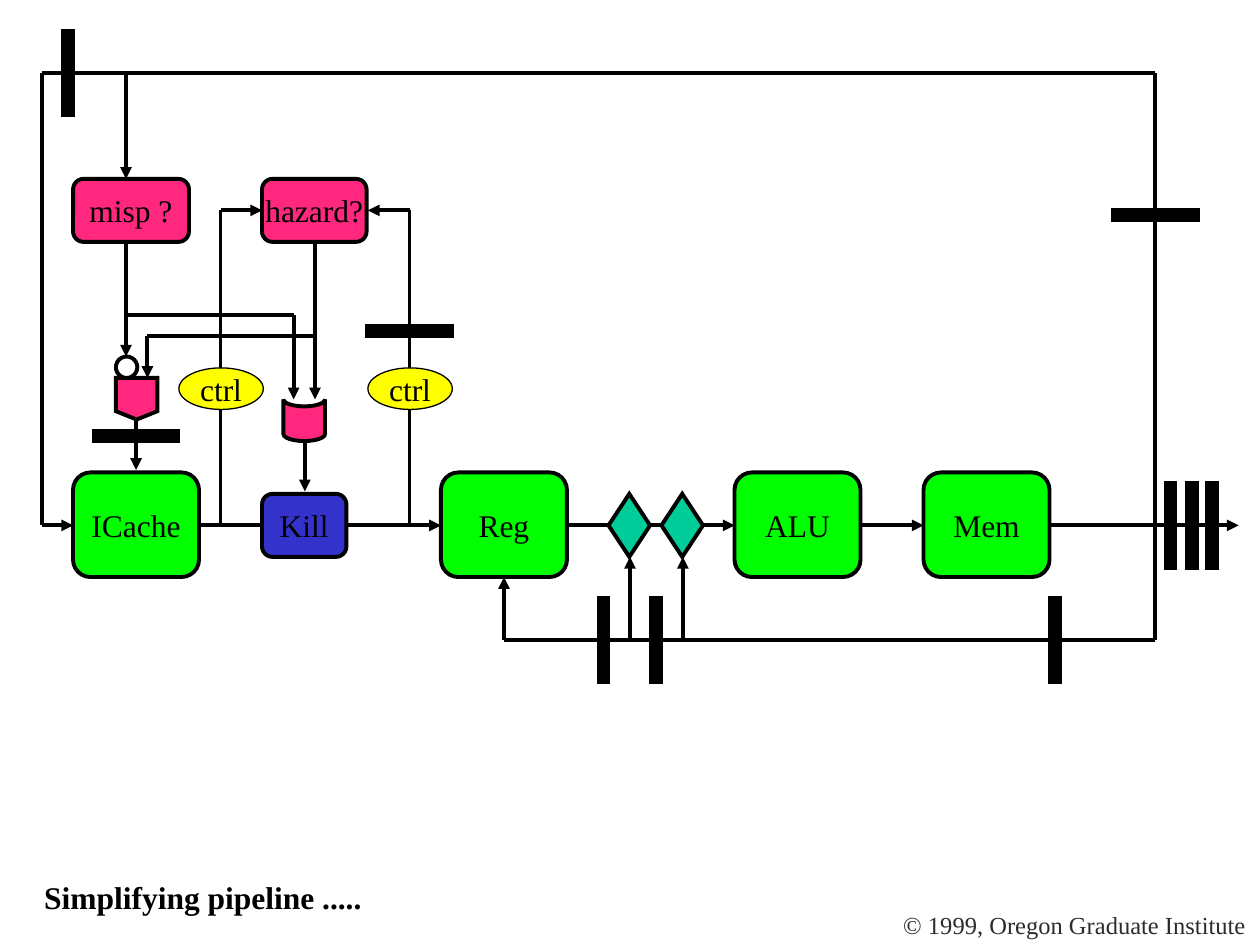
from lxml import etree
from pptx import Presentation
from pptx.dml.color import RGBColor
from pptx.enum.shapes import MSO_CONNECTOR, MSO_SHAPE
from pptx.enum.text import MSO_ANCHOR, MSO_AUTO_SIZE, PP_ALIGN
from pptx.oxml.ns import qn
from pptx.util import Inches, Pt

STRAIGHT = MSO_CONNECTOR.STRAIGHT
RECT, ROUNDED = MSO_SHAPE.RECTANGLE, MSO_SHAPE.ROUNDED_RECTANGLE
OVAL, DIAMOND = MSO_SHAPE.OVAL, MSO_SHAPE.DIAMOND
AND_GATE = MSO_SHAPE.FLOWCHART_OFFPAGE_CONNECTOR
OR_GATE = MSO_SHAPE.FLOWCHART_STORED_DATA
LEFT, CENTER = PP_ALIGN.LEFT, PP_ALIGN.CENTER
TOP, MIDDLE = MSO_ANCHOR.TOP, MSO_ANCHOR.MIDDLE
NO_AUTOFIT = MSO_AUTO_SIZE.NONE
TITLE_ONLY = 5

THEME = {
    "font": "Times New Roman",
    "label_size": Pt(18),
    "copyright_size": Pt(14),
    "wire_width": Pt(2.25),
    "thin_width": Pt(0.75),
    "ink": RGBColor(0x00, 0x00, 0x00),
    "copyright": RGBColor(0x2C, 0x2C, 0x2C),
    "stage": RGBColor(0x01, 0xFF, 0x01),
    "kill": RGBColor(0x33, 0x33, 0xCC),
    "check": RGBColor(0xFF, 0x27, 0x7E),
    "mux": RGBColor(0x00, 0xCC, 0x99),
    "control": RGBColor(0xFF, 0xFF, 0x00),
    "inverter": RGBColor(0xFF, 0xFF, 0xFF),
}


def write_text(shape, text, align=CENTER, anchor=MIDDLE, wrap=False, **font_format):
    frame = shape.text_frame
    frame.text = text
    frame_format = {
        "word_wrap": wrap, "auto_size": NO_AUTOFIT, "vertical_anchor": anchor,
        "margin_left": Inches(0.1), "margin_right": Inches(0.1),
        "margin_top": Inches(0.05), "margin_bottom": Inches(0.05),
    }
    for name, value in frame_format.items():
        setattr(frame, name, value)
    paragraph = frame.paragraphs[0]
    paragraph.alignment = align
    font = paragraph.runs[0].font
    font.color.rgb = font_format.pop("color", THEME["ink"])
    for name, value in {"name": THEME["font"], "size": THEME["label_size"], **font_format}.items():
        setattr(font, name, value)


def add_part(kind, left, top, width, height, color, label="", outline="wire_width"):
    """Add a filled, sharply outlined pipeline part with an optional centred label."""
    part = slide.shapes.add_shape(kind, Inches(left), Inches(top), Inches(width), Inches(height))
    part.shadow.inherit = False
    part.fill.solid()
    part.fill.fore_color.rgb = THEME[color]
    part.line.color.rgb = THEME["ink"]
    part.line.width = THEME[outline]
    etree.SubElement(part.element.spPr.find(qn("a:ln")), qn("a:miter"), lim="800000")
    if label:
        write_text(part, label)
    return part


prs = Presentation()
prs.slide_width, prs.slide_height = Inches(10), Inches(7.5)
slide = prs.slides.add_slide(prs.slide_layouts[TITLE_ONLY])

title = slide.shapes.title
title.left, title.top, title.width, title.height = map(Inches, (0.25, 6.92, 3, 0.4))
write_text(title, "Simplifying pipeline .....", LEFT, TOP, wrap=True, bold=True)

copyright_line = slide.shapes.add_textbox(Inches(7.07), Inches(7.17), Inches(2.92), Inches(0.34))
write_text(copyright_line, "© 1999, Oregon Graduate Institute", LEFT, TOP,
           size=THEME["copyright_size"], color=THEME["copyright"])

# Wires: from x, from y, to x, to y
FLOW_Y, RETURN_Y, BYPASS_Y, CHECK_Y = 4.17, 0.58, 5.08, 1.67
RETURN_X, FETCH_X, KILL_TAP, REG_TAP = 9.17, 0.33, 1.75, 3.25

plain_wires = [
    (FETCH_X, RETURN_Y, RETURN_X, RETURN_Y),
    (RETURN_X, RETURN_Y, RETURN_X, FLOW_Y),
    (RETURN_X, BYPASS_Y, RETURN_X, FLOW_Y),
    (FETCH_X, RETURN_Y, FETCH_X, FLOW_Y),
    (4, BYPASS_Y, RETURN_X, BYPASS_Y),
    (KILL_TAP, FLOW_Y, KILL_TAP, CHECK_Y),
    (REG_TAP, CHECK_Y, REG_TAP, FLOW_Y),
    (1.17, 2.67, 2.5, 2.67),
    (2.33, 2.5, 1, 2.5),
]
arrows = [
    (FETCH_X, FLOW_Y, 0.58, FLOW_Y),
    (1.58, FLOW_Y, 3.5, FLOW_Y),
    (4.17, FLOW_Y, 5.83, FLOW_Y),
    (6.83, FLOW_Y, 7.33, FLOW_Y),
    (8.33, FLOW_Y, 9.83, FLOW_Y),
    (KILL_TAP, CHECK_Y, 2.08, CHECK_Y),
    (REG_TAP, CHECK_Y, 2.92, CHECK_Y),
    (1, RETURN_Y, 1, 1.42),
    (1, 1.92, 1, 2.83),
    (1.17, 2.67, 1.17, 3),
    (2.33, 2.5, 2.33, 3.17),
    (2.5, 1.92, 2.5, 3.17),
    (1.08, 3.33, 1.08, 3.73),
    (2.42, 3.51, 2.42, 3.9),
    (4, BYPASS_Y, 4, 4.58),
    (5, BYPASS_Y, 5, 4.42),
    (5.42, BYPASS_Y, 5.42, 4.42),
]
for wires, has_arrow in ((plain_wires, False), (arrows, True)):
    for ends in wires:
        wire = slide.shapes.add_connector(STRAIGHT, *map(Inches, ends))
        wire.line.color.rgb = THEME["ink"]
        wire.line.width = THEME["wire_width"]
        properties = wire.element.spPr
        if has_arrow:
            etree.SubElement(properties.find(qn("a:ln")), qn("a:tailEnd"), type="triangle")
        etree.SubElement(properties, qn("a:effectLst"))

# Pipeline stages and the logic around them
for stage, left in (("ICache", 0.58), ("Reg", 3.5), ("ALU", 5.83), ("Mem", 7.33)):
    add_part(ROUNDED, left, 3.75, 1, 0.83, "stage", stage)
add_part(ROUNDED, 2.08, 3.92, 0.67, 0.5, "kill", "Kill")
add_part(ROUNDED, 0.58, 1.42, 0.92, 0.5, "check", "misp ?")
add_part(ROUNDED, 2.08, 1.42, 0.83, 0.5, "check", "hazard?")
for tap in (KILL_TAP, REG_TAP):
    add_part(OVAL, tap - 0.33, 2.92, 0.67, 0.33, "control", "ctrl", "thin_width")
for mux_x in (5, 5.42):
    add_part(DIAMOND, mux_x - 0.17, 3.92, 0.33, 0.5, "mux")
add_part(AND_GATE, 0.92, 3, 0.33, 0.33, "check")
add_part(OVAL, 0.92, 2.83, 0.17, 0.17, "inverter")
add_part(OR_GATE, 2.25, 3.17, 0.33, 0.33, "check").rotation = 270

# Latches: black bars centred on the wires they cross
LATCH_LENGTH, LATCH_WIDTH = 0.67, 0.08
upright_latches = [(0.54, RETURN_Y)]
upright_latches += [(x, FLOW_Y) for x in (9.29, 9.46, 9.62)]
upright_latches += [(x, BYPASS_Y) for x in (4.79, 5.21, 8.37)]
flat_latches = [(1.08, 3.46), (REG_TAP, 2.63), (RETURN_X, 1.71)]
for latches, width, height in ((upright_latches, LATCH_WIDTH, LATCH_LENGTH),
                               (flat_latches, LATCH_LENGTH, LATCH_WIDTH)):
    for x, y in latches:
        add_part(RECT, x - width / 2, y - height / 2, width, height, "ink")

prs.save("out.pptx")
